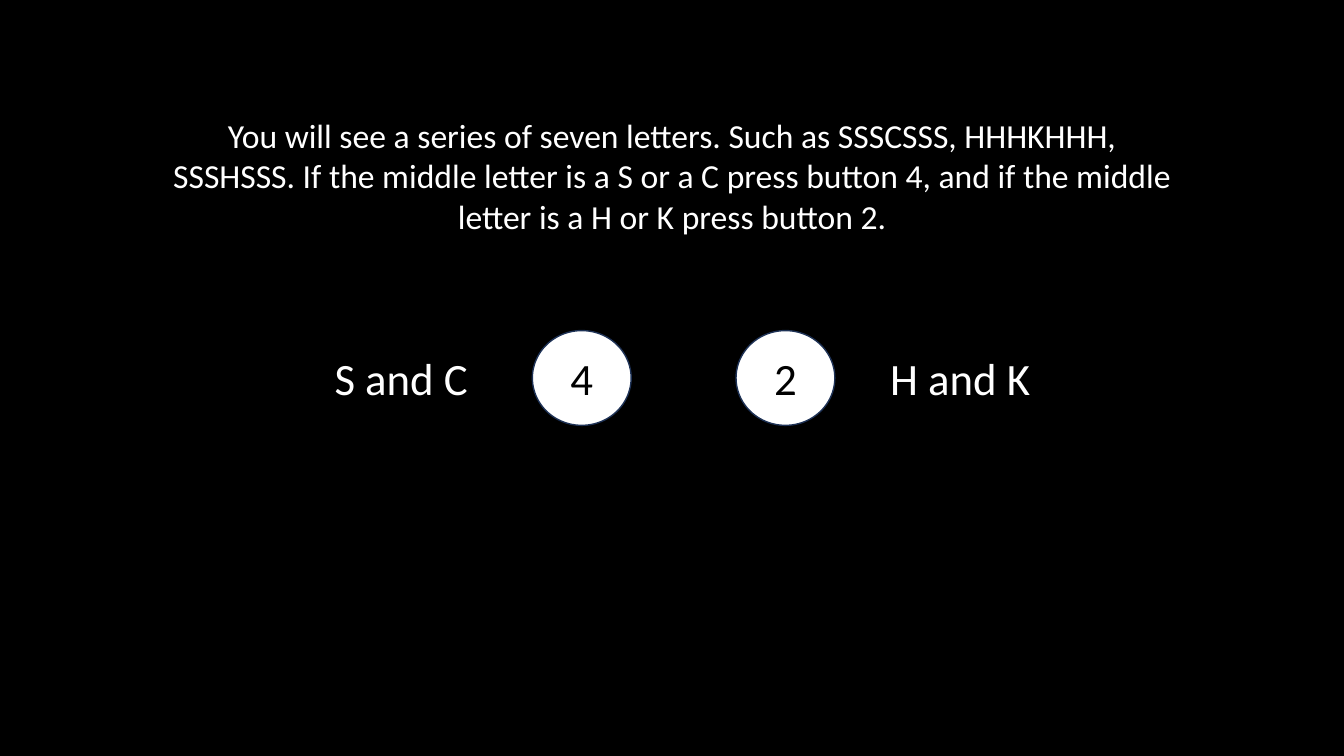
from pptx import Presentation
from pptx.dml.color import RGBColor
from pptx.enum import shapes, text
from pptx.util import Inches, Pt

BLACK, WHITE, NAVY = "000000", "FFFFFF", "1E3256"


def colour(value):
    return RGBColor.from_string(value)


class SlideBuilder:
    font = "Calibri"

    def __init__(self, slide):
        self.slide = slide

    def background(self, fill):
        self.slide.background.fill.solid()
        self.slide.background.fill.fore_color.rgb = colour(fill)

    def add_text(self, frame, content, size, ink, align):
        paragraph = frame.paragraphs[0]
        paragraph.alignment = align
        run = paragraph.add_run()
        run.text = content
        run.font.name = self.font
        run.font.size = Pt(size)
        run.font.color.rgb = colour(ink)

    def text_box(self, content, left, top, width, height, size,
                 align=text.PP_ALIGN.LEFT, wrap=False):
        box = self.slide.shapes.add_textbox(
            Inches(left), Inches(top), Inches(width), Inches(height))
        frame = box.text_frame
        frame.word_wrap = wrap
        frame.auto_size = text.MSO_AUTO_SIZE.SHAPE_TO_FIT_TEXT
        self.add_text(frame, content, size, WHITE, align)

    def button(self, number, left, top):
        shape = self.slide.shapes.add_shape(
            shapes.MSO_SHAPE.OVAL,
            Inches(left), Inches(top), Inches(0.98), Inches(0.94))
        shape.shadow.inherit = False
        shape.fill.solid()
        shape.fill.fore_color.rgb = colour(WHITE)
        shape.line.color.rgb = colour(NAVY)
        shape.line.width = Pt(1)
        shape.text_frame.vertical_anchor = text.MSO_ANCHOR.MIDDLE
        self.add_text(shape.text_frame, number, 32, BLACK, text.PP_ALIGN.CENTER)


def main():
    presentation = Presentation()
    presentation.slide_width = Inches(13.33)
    presentation.slide_height = Inches(7.5)
    blank_layout = presentation.slide_layouts[6]
    builder = SlideBuilder(presentation.slides.add_slide(blank_layout))

    builder.background(BLACK)
    builder.text_box(
        "You will see a series of seven letters. Such as SSSCSSS, HHHKHHH, "
        "SSSHSSS. If the middle letter is a S or a C press button 4, and if "
        "the middle letter is a H or K press button 2.",
        1.57, 1.09, 10.19, 1.31, 24, text.PP_ALIGN.CENTER, wrap=True)

    for number, button_left, letters, label_left, label_width in (
        ("4", 5.28, "S and C", 3.22, 1.54),
        ("2", 7.3, "H and K", 8.73, 1.61),
    ):
        builder.button(number, button_left, 3.28)
        builder.text_box(letters, label_left, 3.43, label_width, 0.64, 32)

    presentation.save("out.pptx")


if __name__ == "__main__":
    main()
